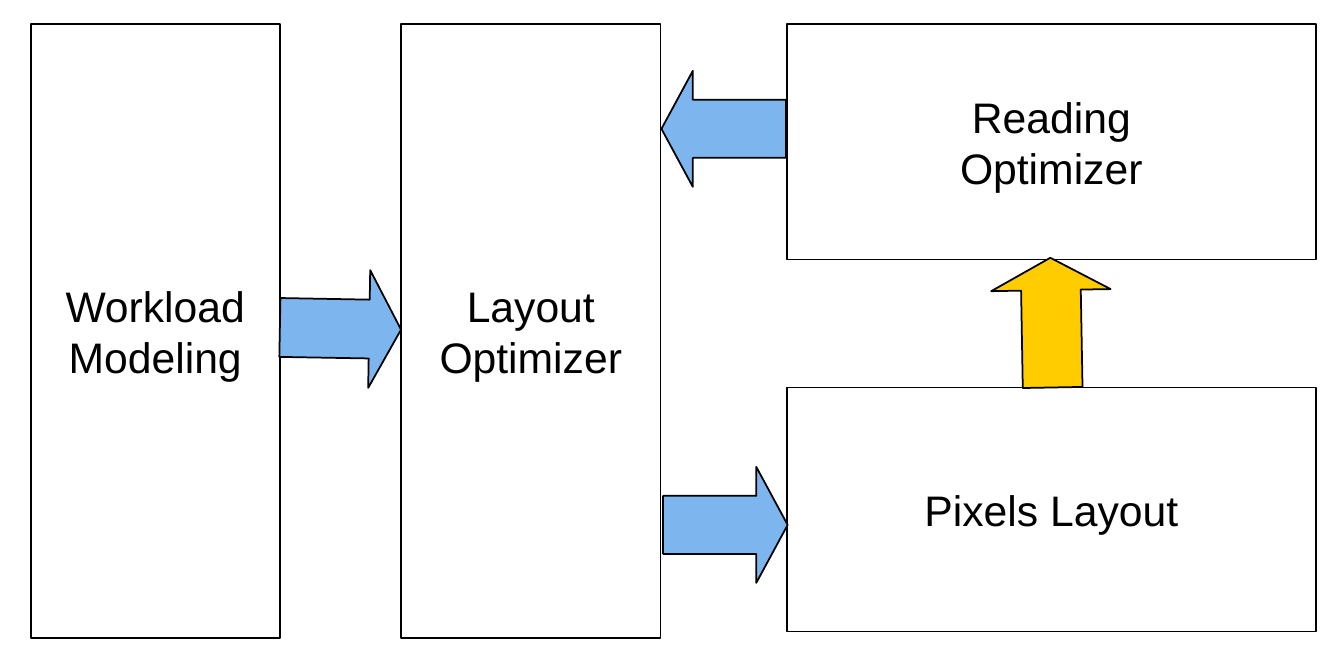
"""Build the workload, layout and reading optimizer flow slide."""
from pptx import Presentation
from pptx import util as u
from pptx.dml.color import RGBColor
from pptx.enum import shapes, text

SLIDE_SIZE = {"slide_width": u.Cm(20), "slide_height": u.Cm(10)}
COLORS = {"ink": "000000", "optimize": "7DB6EF", "read": "FFCC00"}
STAGES = [
    (["Workload", "Modeling"], (0.18, 0.14, 1.46, 3.6)),
    (["Pixels Layout"], (4.61, 2.27, 3.1, 1.43)),
    (["Layout", "Optimizer"], (2.35, 0.14, 1.52, 3.6)),
    (["Reading", "Optimizer"], (4.61, 0.14, 3.1, 1.38)),
]
FLOWS = [
    ("optimize", (3.91, 2.71, 0.68, 0.73), 270),
    ("optimize", (3.9, 0.39, 0.68, 0.73), 90),
    ("read", (5.81, 1.51, 0.7, 0.76), 179),
    ("optimize", (1.65, 1.57, 0.69, 0.71), 271),
]
ARROW_SHAPE = (0.5, 0.27)
LABEL_FONT = {"name": "Arial", "size": u.Pt(18)}
LABEL_FRAME = {"word_wrap": False, "vertical_anchor": text.MSO_ANCHOR.MIDDLE}


def rgb(name):
    return RGBColor.from_string(COLORS[name])


def apply(target, values):
    for key, value in values.items():
        setattr(target, key, value)


def add_outlined(slide, kind, box):
    outlined = slide.shapes.add_shape(kind, *map(u.Inches, box))
    outlined.shadow.inherit = False
    outlined.line.color.rgb = rgb("ink")
    outlined.line.width = u.Pt(0.75)
    return outlined


def add_stage(slide, lines, box):
    stage = add_outlined(slide, shapes.MSO_SHAPE.RECTANGLE, box)
    stage.fill.background()
    label = stage.text_frame
    apply(label, LABEL_FRAME)
    label.text = "\n".join(lines)
    for line in label.paragraphs:
        line.alignment = text.PP_ALIGN.CENTER
        for run in line.runs:
            apply(run.font, LABEL_FONT)
            run.font.color.rgb = rgb("ink")


def add_flow(slide, color, box, rotation):
    arrow = add_outlined(slide, shapes.MSO_SHAPE.DOWN_ARROW, box)
    arrow.fill.solid()
    arrow.fill.fore_color.rgb = rgb(color)
    arrow.rotation = rotation
    for index, ratio in enumerate(ARROW_SHAPE):
        arrow.adjustments[index] = ratio


def main():
    deck = Presentation()
    apply(deck, SLIDE_SIZE)
    slide = deck.slides.add_slide(deck.slide_layouts[6])
    for stage in STAGES:
        add_stage(slide, *stage)
    for flow in FLOWS:
        add_flow(slide, *flow)
    deck.save("out.pptx")


if __name__ == "__main__":
    main()
